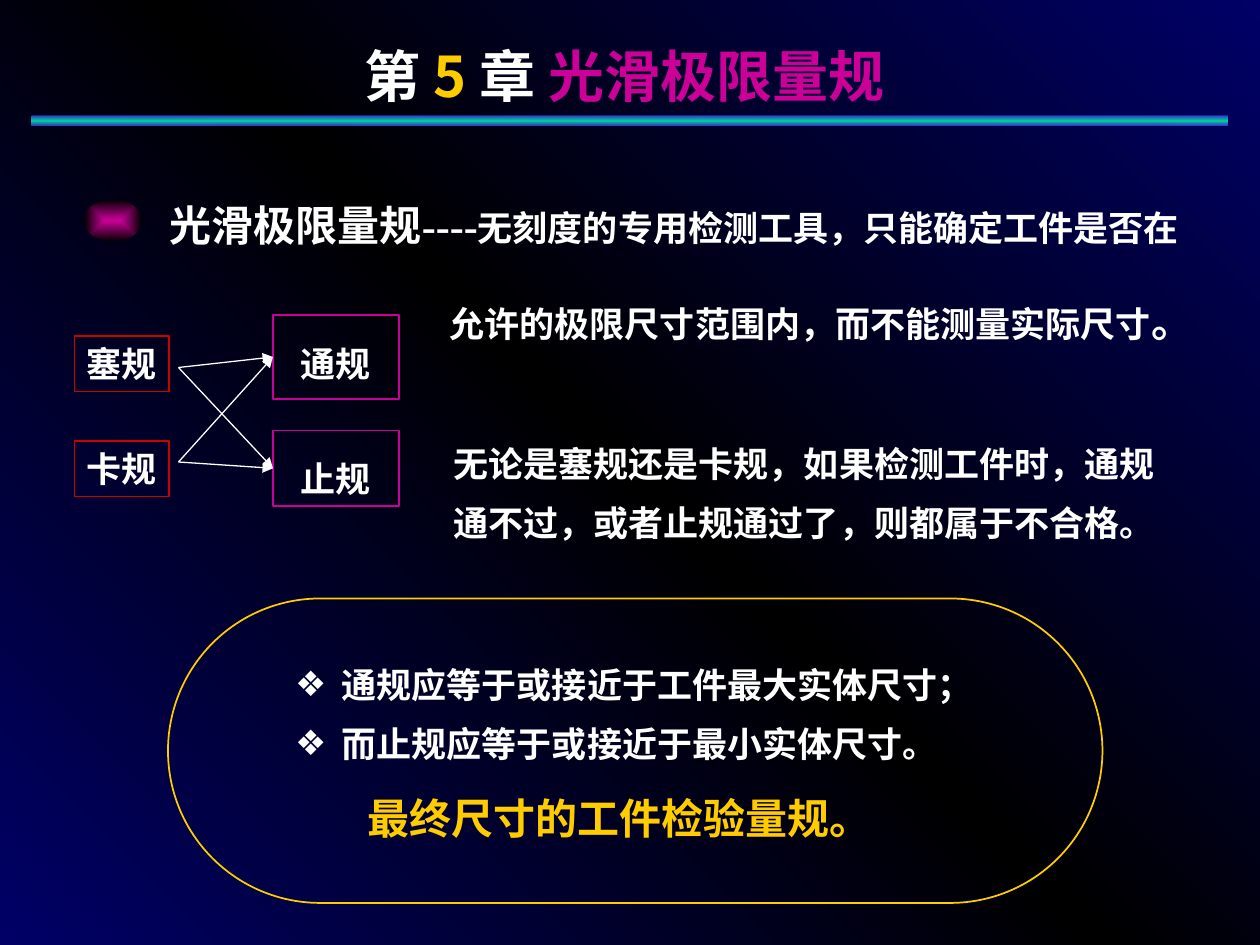
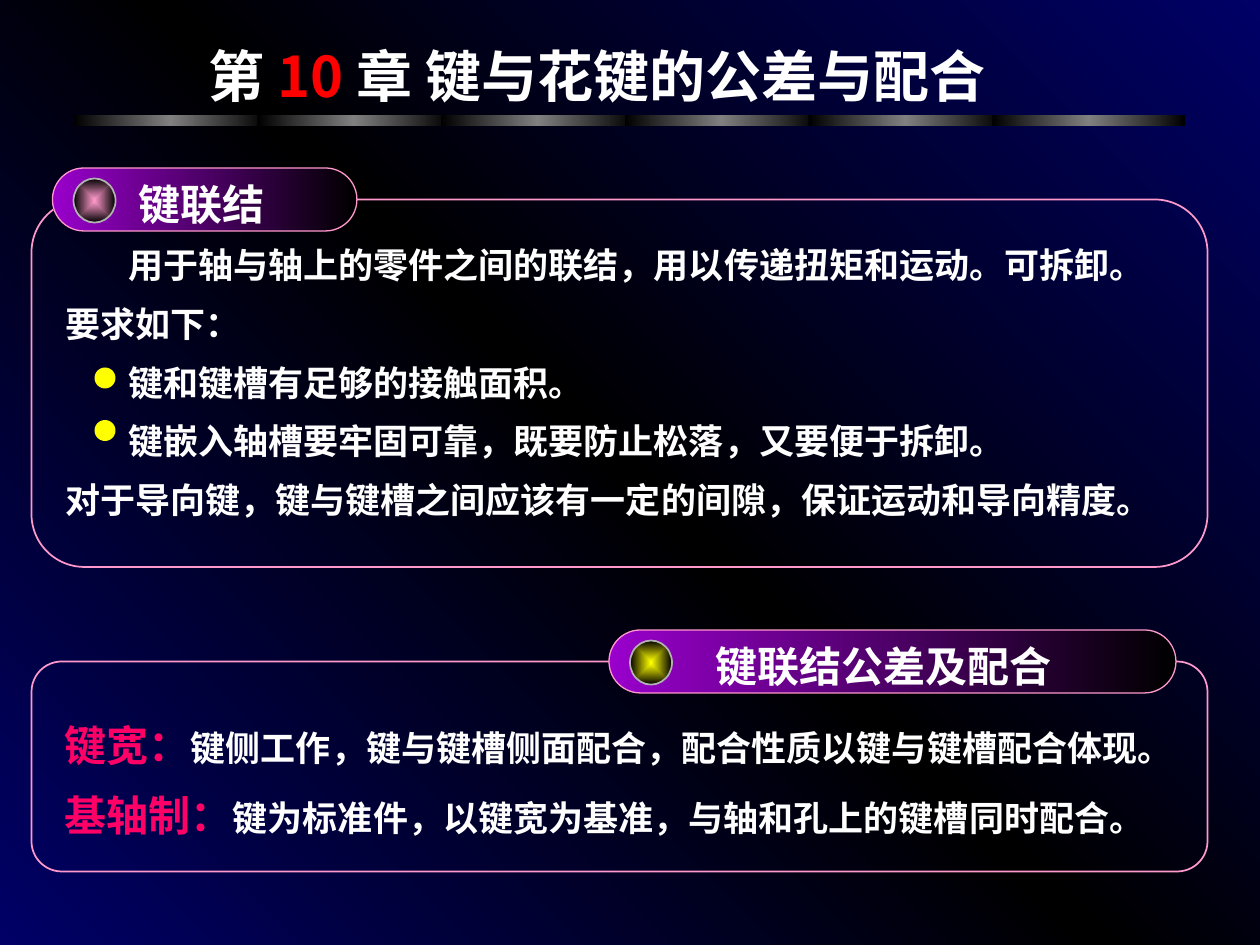
"""Builds two chapter slides: smooth limit gauges, and the tolerances of keys and splines."""
from copy import deepcopy

from pptx import Presentation
from pptx.dml.color import RGBColor
from pptx.enum.shapes import MSO_CONNECTOR, MSO_SHAPE
from pptx.enum.text import MSO_ANCHOR, MSO_AUTO_SIZE, PP_ALIGN
from pptx.oxml import parse_xml
from pptx.oxml.ns import nsdecls, qn
from pptx.util import Inches, Pt

RECT, ROUND, OVAL = MSO_SHAPE.RECTANGLE, MSO_SHAPE.ROUNDED_RECTANGLE, MSO_SHAPE.OVAL
STRAIGHT = MSO_CONNECTOR.STRAIGHT
TOP, BOTTOM = MSO_ANCHOR.TOP, MSO_ANCHOR.BOTTOM
LEFT, CENTER = PP_ALIGN.LEFT, PP_ALIGN.CENTER
NO_FIT = MSO_AUTO_SIZE.NONE

WIDTH, HEIGHT = Inches(10), Inches(7.5)
CELL = WIDTH // 120
SERIF, SANS = "Times New Roman", "Noto Sans CJK SC"
COLORS = {
    "white": "FFFFFF", "gold": "FFCC00", "yellow": "FFFF00", "magenta": "CC0099",
    "red": "FF0000", "dark red": "CC0000", "rose": "FF0066", "pink": "FF99CC",
    "purple": "9900CC", "navy": "000066", "black": "000000", "gray": "808080",
    "silver": "B2B2B2", "blue": "3333CC", "teal": "00CC99",
}
RADIAL = '<a:path path="rect"><a:fillToRect l="50000" t="50000" r="50000" b="50000"/></a:path>'
GRADIENTS = {}
for name, stops, angle in (
    ("night", ("navy", "black", "navy"), 135),
    ("rule", ("blue", "teal", "blue"), 90),
    ("steel", ("black", "gray", "black"), 180),
    ("pill", ("black", "purple"), 180),
    ("magenta gem", ("magenta", "black"), None),
    ("pink gem", ("pink", "black"), None),
    ("yellow gem", ("yellow", "black"), None),
):
    marks = "".join(
        f'<a:gs pos="{100000 * i // (len(stops) - 1)}"><a:srgbClr val="{COLORS[stop]}"/></a:gs>'
        for i, stop in enumerate(stops))
    course = RADIAL if angle is None else f'<a:lin ang="{angle * 60000}" scaled="0"/>'
    GRADIENTS[name] = parse_xml(
        f'<a:gradFill {nsdecls("a")} rotWithShape="1"><a:gsLst>{marks}</a:gsLst>{course}</a:gradFill>')


def draw(slide, kind, box, fill=None, edge=None, weight=0.75, radius=None):
    """Adds a preset shape, or a text box when kind is None, at grid cells."""
    place = [int(cells * CELL) for cells in box]
    if kind is None:
        return slide.shapes.add_textbox(*place)
    shape = slide.shapes.add_shape(kind, *place)
    shape.shadow.inherit = False
    if radius is not None:
        shape.adjustments[0] = radius
    if fill in GRADIENTS:
        shape.fill.gradient()
        plain = shape.element.spPr.find(qn("a:gradFill"))
        shape.element.spPr.replace(plain, deepcopy(GRADIENTS[fill]))
    elif fill:
        shape.fill.solid()
        shape.fill.fore_color.rgb = RGBColor.from_string(COLORS[fill])
    else:
        shape.fill.background()
    if edge:
        shape.line.color.rgb = RGBColor.from_string(COLORS[edge])
        shape.line.width = Pt(weight)
    else:
        shape.line.fill.background()
    return shape


def write(shape, paragraphs, spacing=1.0, align=LEFT, anchor=TOP, wrap=True, bullet=None):
    """Fills a shape with (margin, indent, space before, runs) paragraphs."""
    frame = shape.text_frame
    for key, value in {"auto_size": NO_FIT, "word_wrap": wrap, "vertical_anchor": anchor}.items():
        setattr(frame, key, value)
    for number, (margin, indent, before, runs) in enumerate(paragraphs):
        paragraph = frame.add_paragraph() if number else frame.paragraphs[0]
        properties = paragraph._p.get_or_add_pPr()
        properties.set("marL", str(Inches(margin)))
        properties.set("indent", str(Inches(indent)))
        mark = f'buChar {nsdecls("a")} char="{bullet}"' if bullet else f'buNone {nsdecls("a")}'
        properties.append(parse_xml(f"<a:{mark}/>"))
        layout = {"alignment": align, "line_spacing": spacing,
                  "space_before": Pt(before), "space_after": Pt(0)}
        for key, value in layout.items():
            setattr(paragraph, key, value)
        for text, size, color, face in runs:
            run = paragraph.add_run()
            run.text = text
            for key, value in {"size": Pt(size), "bold": True, "name": face}.items():
                setattr(run.font, key, value)
            run.font.color.rgb = RGBColor.from_string(COLORS[color])
            run._r.rPr.append(parse_xml(f'<a:ea {nsdecls("a")} typeface="{SANS}"/>'))


deck = Presentation()
deck.slide_width, deck.slide_height = WIDTH, HEIGHT
backdrop = deck.slide_master.background
backdrop.fill.gradient()
plain_backdrop = backdrop.element.find(".//" + qn("a:gradFill"))
plain_backdrop.getparent().replace(plain_backdrop, deepcopy(GRADIENTS["night"]))

gauges, keys = [deck.slides.add_slide(deck.slide_layouts[1]) for _ in range(2)]
for slide, title_box, body_box, chapter in (
    (gauges, (21, 1, 77, 10), (26.9, 61, 69.8, 12.5),
     (("第 ", "white"), ("5 ", "gold"), ("章 ", "white"), ("光滑极限量规", "magenta"))),
    (keys, (5.4, 1, 103, 10), (5, 21, 109, 29.3),
     (("第 ", "white"), ("10 ", "red"), ("章 键与花键的公差与配合", "white"))),
):
    for holder, box in zip(slide.placeholders, (title_box, body_box)):
        for side, cells in zip(("left", "top", "width", "height"), box):
            setattr(holder, side, int(cells * CELL))
    write(slide.shapes.title, [(0, 0, 0, [(text, 32, color, SANS) for text, color in chapter])],
          align=CENTER, anchor=BOTTOM)

draw(gauges, ROUND, (3, 11, 114, 1), "rule", radius=0.08)
draw(gauges, ROUND, (16, 57, 89, 29), edge="gold", weight=1, radius=0.5)
draw(gauges, OVAL, (8, 19, 5.5, 4), "magenta gem")
write(draw(gauges, None, (15, 16, 102.6, 18)), [
    (0, 0, 0, [("光滑极限量规----", 24, "white", SERIF),
               ("无刻度的专用检测工具，只能确定工件是否在", 20, "white", SERIF)]),
    (2.22, 0, 12, [("允许的极限尺寸范围内，而不能测量实际尺寸", 20, "white", SERIF),
                   ("。", 24, "white", SERIF)]),
], spacing=1.5)

limits = []
for limit, top, height in (("通规", 30, 8), ("止规", 41, 7.2)):
    limits.append(draw(gauges, RECT, (26, top, 12, height), edge="magenta"))
    write(limits[-1], [(0, 0, 0, [(limit, 20, "white", SERIF)])], spacing=1.5, align=CENTER)
for gauge, top, start in (("塞规", 32, 35), ("卡规", 42, 44)):
    write(draw(gauges, RECT, (7.1, top, 9, 5.3), edge="dark red"),
          [(0, 0, 0, [(gauge, 20, "white", SERIF)])], wrap=False)
    for limit_box in limits:
        arrow = gauges.shapes.add_connector(STRAIGHT, 17 * CELL, start * CELL, 26 * CELL, 34 * CELL)
        arrow.end_connect(limit_box, 1)
        arrow.line.color.rgb = RGBColor.from_string(COLORS["white"])
        arrow.line.width = Pt(0.75)
        arrow.line._get_or_add_ln().append(parse_xml(f'<a:tailEnd {nsdecls("a")} type="triangle"/>'))
        arrow._element.spPr.append(parse_xml(f'<a:effectLst {nsdecls("a")}/>'))

write(draw(gauges, None, (42, 40, 70, 12.5)),
      [(0, 0, 0, [("无论是塞规还是卡规，如果检测工件时，通规通不过，或者止规通过了，则都属于不合格。",
                   20, "white", SERIF)])], spacing=1.4)
write(gauges.placeholders[1], [
    (0.37, -0.37, 0, [(rule, 20, "white", SERIF)])
    for rule in ("通规应等于或接近于工件最大实体尺寸；", "而止规应等于或接近于最小实体尺寸。")
], spacing=1.4, bullet="❖")
write(draw(gauges, None, (27, 73, 64, 8)),
      [(0, 0, 0, [("最终尺寸的工件检验量规。", 24, "gold", SERIF)])], spacing=1.4, align=CENTER)

for segment in range(6):
    draw(keys, RECT, (7 + 17.5 * segment, 11, 18.4, 1), "steel")
for heading, left, top, pill_width, label_left, label_width, frame_height, gem in (
    ("键联结", 5, 16, 29, 12, 19, 35, "pink gem"),
    ("键联结公差及配合", 58, 60, 54, 67, 42, 20, "yellow gem"),
):
    draw(keys, ROUND, (3, top + 3, 112, frame_height), edge="pink", weight=1, radius=0.144)
    draw(keys, ROUND, (left, top, pill_width, 6), "pill", "pink", radius=0.5)
    draw(keys, OVAL, (left + 2, top + 1, 4, 4.2), gem, "silver", 1)
    write(draw(keys, None, (label_left, top - 2, label_width, 8)),
          [(0, 0, 0, [(heading, 24, "white", SERIF)])], spacing=1.5)

write(keys.placeholders[1], [
    (margin, indent, 0, [(text, 20, "white", SERIF)]) for margin, indent, text in (
        (0, 0.5, "用于轴与轴上的零件之间的联结，用以传递扭矩和运动。可拆卸。"),
        (0, 0, "要求如下："),
        (0.5, 0, "键和键槽有足够的接触面积。"),
        (0.5, 0, "键嵌入轴槽要牢固可靠，既要防止松落，又要便于拆卸。"),
        (0, 0, "对于导向键，键与键槽之间应该有一定的间隙，保证运动和导向精度。"),
    )
], spacing=1.4)
for dot_top in (35, 40):
    draw(keys, OVAL, (9, dot_top, 2, 2), "yellow")
write(draw(keys, None, (5, 66, 109, 14.6)), [
    (0, 0, 0, [(term, 24, "rose", SANS), (meaning, 20, "white", SERIF)]) for term, meaning in (
        ("键宽：", "键侧工作，键与键槽侧面配合，配合性质以键与键槽配合体现。"),
        ("基轴制：", "键为标准件，以键宽为基准，与轴和孔上的键槽同时配合。"),
    )
], spacing=1.4)

deck.save("out.pptx")
